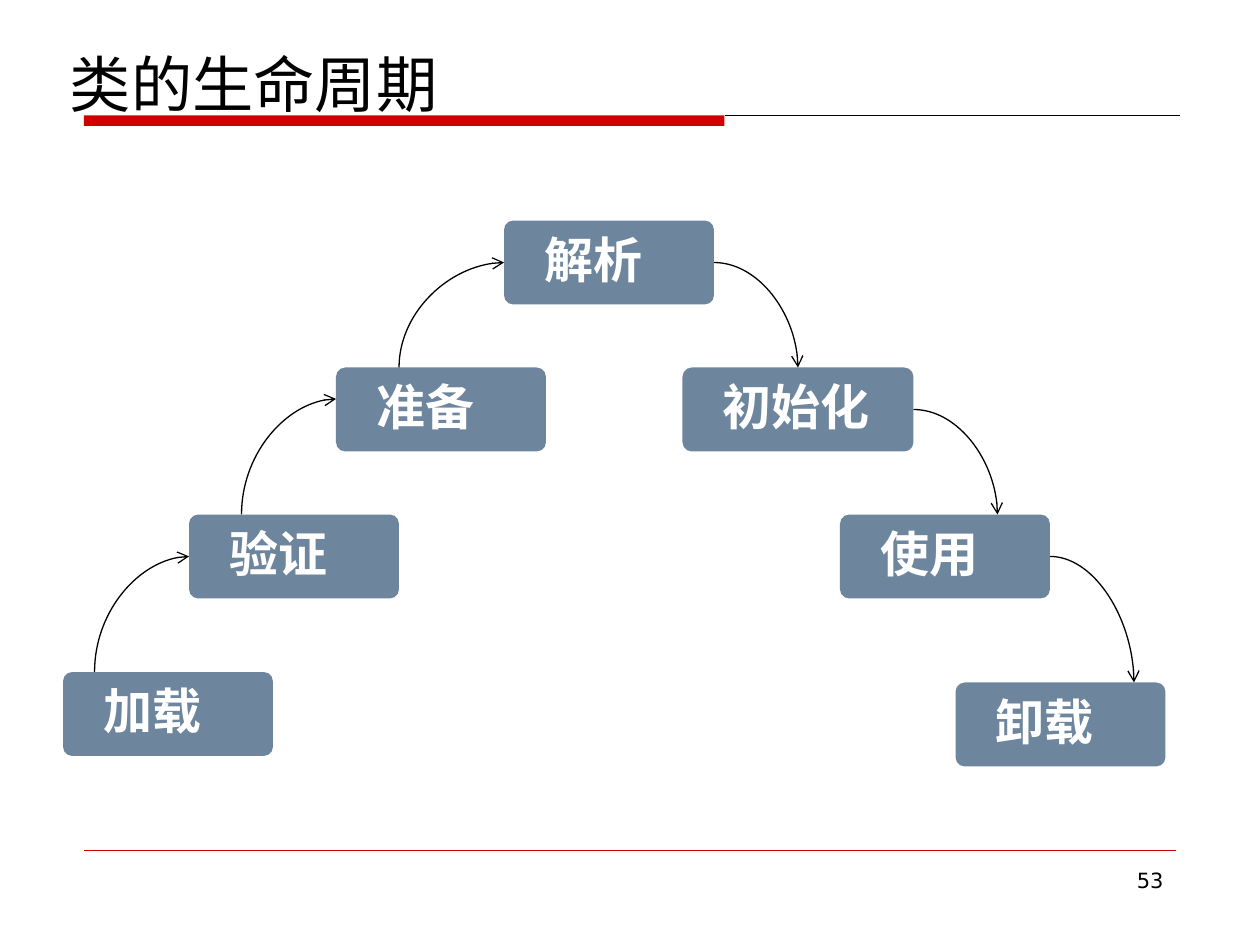
from lxml.etree import SubElement
from pptx import Presentation
from pptx.dml.color import RGBColor
from pptx.enum.shapes import MSO_CONNECTOR, MSO_SHAPE
from pptx.enum.text import MSO_ANCHOR, MSO_AUTO_SIZE, PP_ALIGN
from pptx.oxml.ns import qn
from pptx.util import Inches, Pt

STAGES = [
    ("加载", 6, 64, 20),
    ("验证", 18, 49, 20),
    ("准备", 32, 35, 20),
    ("解析", 48, 21, 20),
    ("初始化", 65, 35, 22),
    ("使用", 80, 49, 20),
    ("卸载", 91, 65, 20),
]
RISES = [(9, 64, 18, 53), (23, 49, 32, 38), (38, 35, 48, 25)]
FALLS = [(68, 25, 76, 35), (87, 39, 95, 49), (100, 53, 108, 65)]


def colour(hex_code):
    return RGBColor.from_string(hex_code)


def grid(*cells):
    return [Inches(cell / 12) for cell in cells]


class LifecycleSlide:
    """Draws the class life cycle on a grid of 120 columns and 90 rows."""

    latin, east_asian = "DejaVu Sans", "Noto Sans CJK SC"
    red, slate, black, white = "CC0000", "6E869D", "000000", "FFFFFF"

    def __init__(self, deck):
        self.slide = deck.slides.add_slide(deck.slide_layouts[5])
        self.shapes = self.slide.shapes

    def label(self, frame, wording, size, ink, font=latin, bold=False,
              align=PP_ALIGN.LEFT, anchor=MSO_ANCHOR.TOP, left=0.1):
        frame.word_wrap = True
        frame.auto_size = MSO_AUTO_SIZE.NONE
        frame.vertical_anchor = anchor
        frame.margin_left = Inches(left)
        frame.text = wording
        line = frame.paragraphs[0]
        line.alignment = align
        line.font.size = Pt(size)
        line.font.bold = bold
        line.font.color.rgb = colour(ink)
        line.font.name = font
        defaults = line._p.pPr.find(qn("a:defRPr"))
        SubElement(defaults, qn("a:ea"), typeface=self.east_asian)

    def title(self, wording):
        heading = self.shapes.title
        heading.left, heading.top, heading.width, heading.height = grid(4, 3, 105, 9)
        self.label(heading.text_frame, wording, 35, self.black, self.east_asian,
                   anchor=MSO_ANCHOR.BOTTOM, left=0.22)

    def page_number(self, number):
        corner = self.shapes.add_textbox(*grid(86, 82, 26, 6.25))
        self.label(corner.text_frame, number, 12, self.black, align=PP_ALIGN.RIGHT)

    def block(self, kind, fill, *cells):
        block = self.shapes.add_shape(kind, *grid(*cells))
        block.shadow.inherit = False
        block.fill.solid()
        block.fill.fore_color.rgb = colour(fill)
        block.line.fill.background()
        return block

    def stage(self, name, column, row, columns):
        box = self.block(MSO_SHAPE.ROUNDED_RECTANGLE, self.slate, column, row, columns, 8)
        box.adjustments[0] = 0.11
        self.label(box.text_frame, name, 28, self.white, bold=True, left=0.3)

    def rule(self, ink, width, *cells, kind=MSO_CONNECTOR.STRAIGHT):
        rule = self.shapes.add_connector(kind, *grid(*cells))
        rule.line.color.rgb = colour(ink)
        rule.line.width = Pt(width)
        properties = rule._element.spPr
        SubElement(properties, qn("a:effectLst"))
        return properties

    def arrow(self, *cells):
        properties = self.rule(self.black, 0.75, *cells, kind=MSO_CONNECTOR.CURVE)
        properties.find(qn("a:prstGeom")).set("prst", "curvedConnector2")
        SubElement(properties.find(qn("a:ln")), qn("a:tailEnd"), type="arrow")
        return properties

    def rising_arrow(self, x1, y1, x2, y2):
        middle_x, middle_y = (x1 + x2) / 2, (y1 + y2) / 2
        reach, drop = (y1 - y2) / 2, (x2 - x1) / 2
        properties = self.arrow(middle_x + reach, middle_y + drop,
                                middle_x - reach, middle_y - drop)
        properties.find(qn("a:xfrm")).set("rot", str(90 * 60000))


def main():
    deck = Presentation()
    deck.slide_width, deck.slide_height = Inches(10), Inches(7.5)
    page = LifecycleSlide(deck)
    page.block(MSO_SHAPE.RECTANGLE, page.red, 8, 11, 61, 1)
    page.rule(page.black, 0.75, 69, 11, 112.4, 11)
    page.rule(page.red, 0.25, 8, 81, 112, 81)
    page.title("类的生命周期")
    page.page_number("53")
    for stage in STAGES:
        page.stage(*stage)
    for rise in RISES:
        page.rising_arrow(*rise)
    for fall in FALLS:
        page.arrow(*fall)
    deck.save("out.pptx")


if __name__ == "__main__":
    main()
